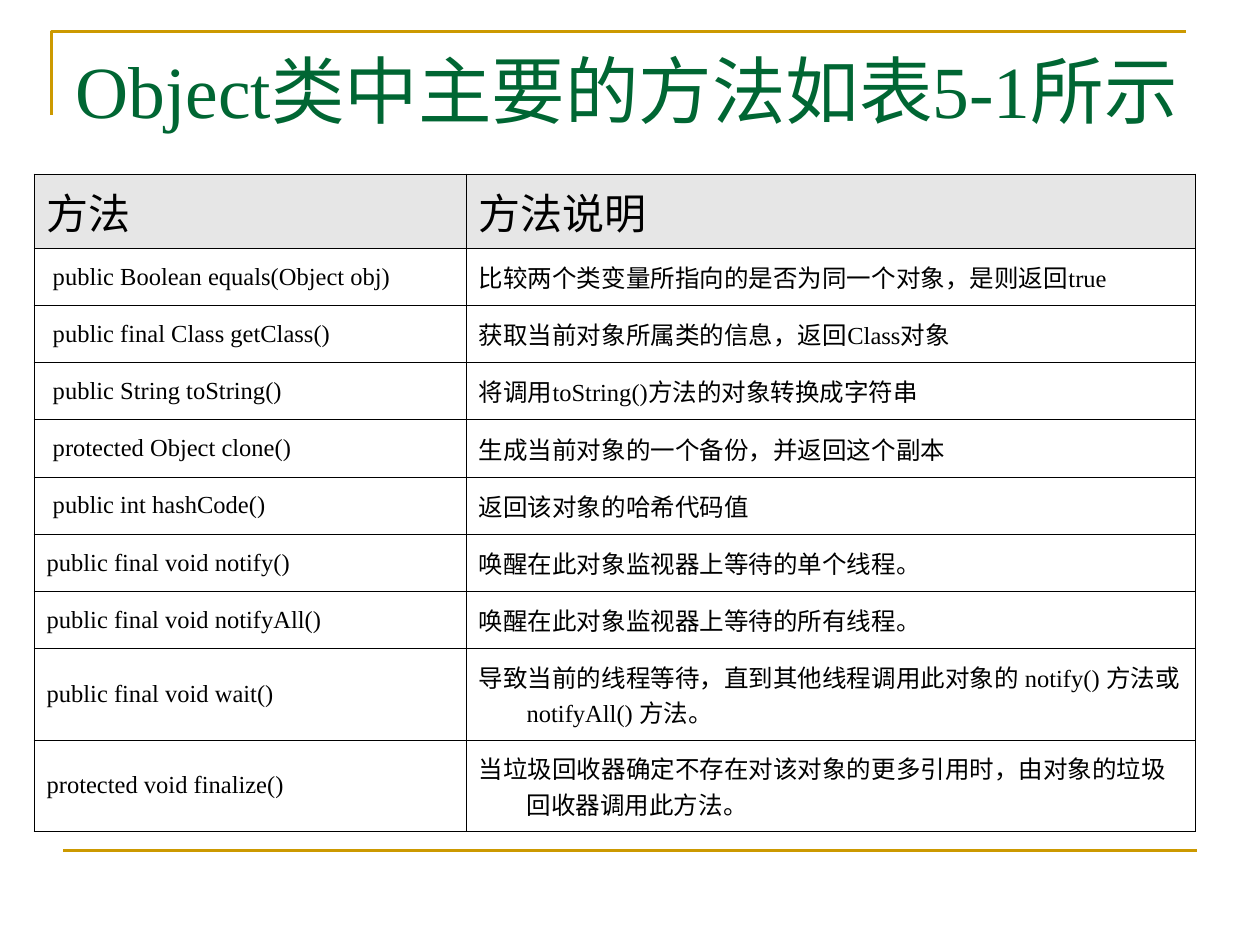
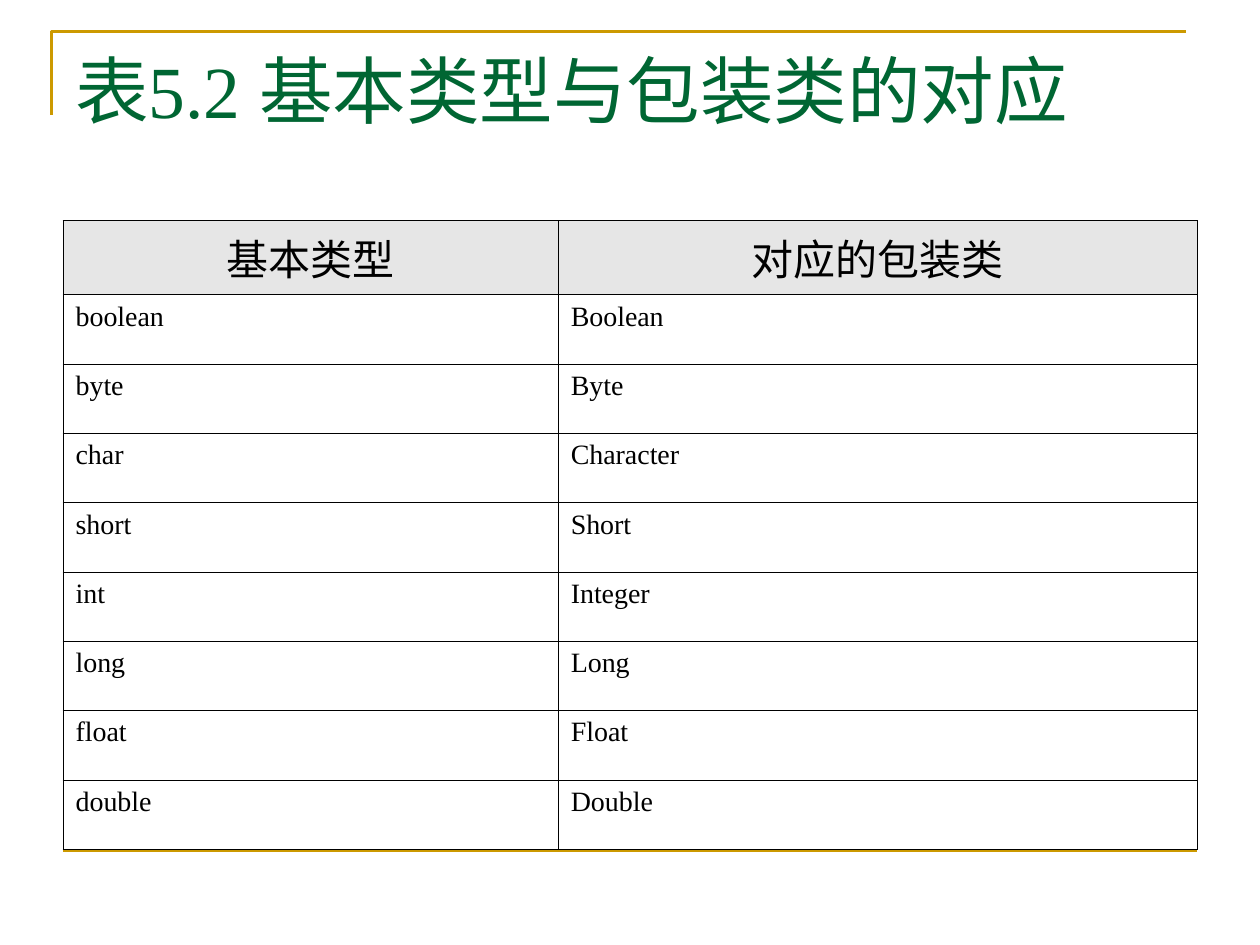
from dataclasses import dataclass

from lxml import etree
from pptx import Presentation
from pptx import util as u
from pptx.dml.color import RGBColor
from pptx.enum import shapes, text
from pptx.oxml import ns

METHODS = [
    ("方法", "方法说明"),
    (" public Boolean equals(Object obj)", "比较两个类变量所指向的是否为同一个对象，是则返回true"),
    (" public final Class getClass()", "获取当前对象所属类的信息，返回Class对象"),
    (" public String toString()", "将调用toString()方法的对象转换成字符串"),
    (" protected Object clone()", "生成当前对象的一个备份，并返回这个副本"),
    (" public int hashCode()", "返回该对象的哈希代码值"),
    ("public final void notify()", "唤醒在此对象监视器上等待的单个线程。"),
    ("public final void notifyAll()", "唤醒在此对象监视器上等待的所有线程。"),
    ("public final void wait()",
     "导致当前的线程等待，直到其他线程调用此对象的 notify() 方法或 notifyAll() 方法。"),
    ("protected void finalize()",
     "当垃圾回收器确定不存在对该对象的更多引用时，由对象的垃圾回收器调用此方法。"),
]
WRAPPERS = [
    ("基本类型", "对应的包装类"),
    ("boolean", "Boolean"),
    ("byte", "Byte"),
    ("char", "Character"),
    ("short", "Short"),
    ("int", "Integer"),
    ("long", "Long"),
    ("float", "Float"),
    ("double", "Double"),
]
MIDDLE, TOP = text.MSO_ANCHOR.MIDDLE, text.MSO_ANCHOR.TOP
LEFT, CENTER = text.PP_ALIGN.LEFT, text.PP_ALIGN.CENTER

# Lengths are in inches. Each band of rows is (row count, total height).
HEADER_BAND = (1, 0.59)
PAGES = [
    dict(title="Object类中主要的方法如表5-1所示", title_width=9.5, rows=METHODS,
         corner=(0.27, 1.38), columns=(3.43, 5.79),
         bands=[HEADER_BAND, (7, 3.18), (2, 1.45)],
         body_size=14, body_anchor=MIDDLE, header_align=LEFT),
    dict(title="表5.2 基本类型与包装类的对应", title_width=9, rows=WRAPPERS,
         corner=(0.5, 1.75), columns=(3.93, 5.07),
         bands=[HEADER_BAND, (8, 4.4)],
         body_size=16, body_anchor=TOP, header_align=CENTER),
]


@dataclass(frozen=True)
class Theme:
    font: str = "Times New Roman"
    gold: str = "CC9900"
    green: str = "006633"
    black: str = "000000"
    header_fill: str = "E6E6E6"
    title_size: float = 42
    header_size: float = 24
    rule_width: float = 1.5
    border_width: float = 0.45
    hanging: float = 0.38


THEME = Theme()


def rgb(value):
    return RGBColor.from_string(value)


def style_font(para, size, color):
    for span in para.runs:
        span.font.name = THEME.font
        span.font.size = u.Pt(size)
        span.font.color.rgb = rgb(color)


def style_rule(shape):
    shape.line.color.rgb = rgb(THEME.gold)
    shape.line.width = u.Pt(THEME.rule_width)


def add_frame(page):
    """Draw the gold corner at the top and the gold rule at the bottom."""
    left, top, right, bottom = map(u.Inches, (0.41, 0.25, 9.41, 0.91))
    builder = page.shapes.build_freeform(left, bottom)
    builder.add_line_segments([(left, top), (right, top)], close=False)
    corner = builder.convert_to_shape()
    corner.shadow.inherit = False
    corner.fill.background()
    style_rule(corner)

    rule = page.shapes.add_connector(
        shapes.MSO_CONNECTOR.STRAIGHT, *map(u.Inches, (0.5, 6.75, 9.5, 6.75)))
    style_rule(rule)
    etree.SubElement(rule._element.spPr, ns.qn("a:effectLst"))


def add_title(page, title, width):
    box = page.shapes.add_textbox(*map(u.Inches, (0.5, 0.31, width, 1.25)))
    frame = box.text_frame
    frame.word_wrap = True
    frame.text = title
    style_font(frame.paragraphs[0], THEME.title_size, THEME.green)


def add_borders(cell):
    properties = cell._tc.get_or_add_tcPr()
    for side in "LRTB":
        line = etree.SubElement(properties, ns.qn(f"a:ln{side}"),
                                w=str(u.Pt(THEME.border_width)))
        fill = etree.SubElement(line, ns.qn("a:solidFill"))
        etree.SubElement(fill, ns.qn("a:srgbClr"), val=THEME.black)


def fill_cell(cell, words, is_header, content):
    add_borders(cell)
    if is_header:
        cell.fill.solid()
        cell.fill.fore_color.rgb = rgb(THEME.header_fill)
    else:
        cell.fill.background()
    cell.vertical_anchor = MIDDLE if is_header else content["body_anchor"]
    cell.text_frame.text = words
    para = cell.text_frame.paragraphs[0]
    para.alignment = content["header_align"] if is_header else LEFT
    indent = u.Inches(THEME.hanging)
    properties = para._p.get_or_add_pPr()
    properties.set("marL", str(indent))
    properties.set("indent", str(-indent))
    style_font(para, THEME.header_size if is_header else content["body_size"],
               THEME.black)


def add_grid(page, content):
    rows, columns = content["rows"], content["columns"]
    heights = [total / count for count, total in content["bands"]
               for _ in range(count)]
    area = (*content["corner"], sum(columns), sum(heights))
    table = page.shapes.add_table(
        len(rows), len(columns), *map(u.Inches, area)).table
    table.horz_banding = False
    table.first_row = False
    for column, width in zip(table.columns, columns):
        column.width = u.Inches(width)
    for row, height in zip(table.rows, heights):
        row.height = u.Inches(height)
    for r, row in enumerate(rows):
        for c, words in enumerate(row):
            fill_cell(table.cell(r, c), words, r == 0, content)


def main():
    deck = Presentation()
    deck.slide_width, deck.slide_height = u.Inches(10), u.Inches(7.5)
    for content in PAGES:
        page = deck.slides.add_slide(deck.slide_layouts[6])
        add_frame(page)
        add_title(page, content["title"], content["title_width"])
        add_grid(page, content)
    deck.save("out.pptx")


if __name__ == "__main__":
    main()
